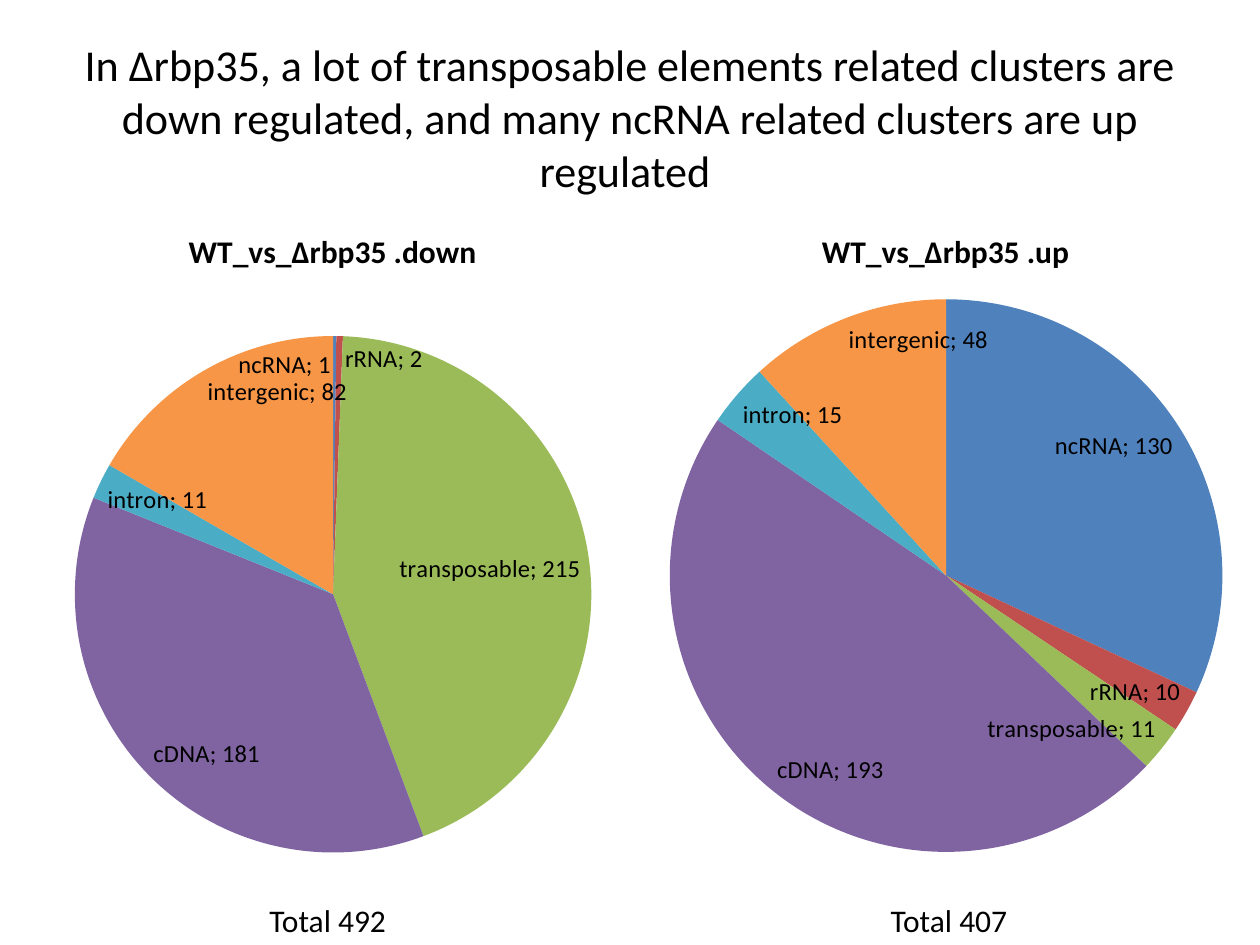
from pptx import Presentation, util as u
from pptx.chart.data import CategoryChartData
from pptx.dml.color import RGBColor
from pptx.enum import chart as ch, text
from pptx.oxml import parse_xml
from pptx.oxml.ns import nsdecls, qn

COLORS = {"ncRNA": "4F81BD", "rRNA": "C0504D", "transposable": "9BBB59",
          "cDNA": "8064A2", "intron": "4BACC6", "intergenic": "F79646"}
BLACK = RGBColor.from_string("000000")

# Frame, pie centre and diameter in inches; shifts are shares of the chart
PANELS = [
    dict(name="WT_vs_∆rbp35 .down", counts=(1, 2, 215, 181, 11, 82),
         frame=(-1.77, 1.62, 8.82, 5.29), pie=(2.64, 4.72, 4.1),
         shifts=[(-0.045, 0.01), (0.04, 0)], total_left=2.04),
    dict(name="WT_vs_∆rbp35 .up", counts=(130, 10, 11, 193, 15, 48),
         frame=(3.11, 1.62, 8.79, 5.28), pie=(7.51, 4.57, 4.39),
         shifts=[], total_left=6.97),
]


def style(font, size, bold=False):
    font.name, font.size, font.bold = "Calibri", u.Pt(size), bold
    font.color.rgb = BLACK


def layout(x, y, width=None, height=None):
    parts = {"x": x, "y": y}
    head = ""
    if width:
        head = ('<c:layoutTarget val="inner"/><c:xMode val="edge"/>'
                '<c:yMode val="edge"/>')
        parts.update(w=width, h=height)
    body = "".join(f'<c:{key} val="{value:.3f}"/>' for key, value in parts.items())
    return parse_xml(f'<c:layout {nsdecls("c")}><c:manualLayout>{head}{body}'
                     '</c:manualLayout></c:layout>')


deck = Presentation()
deck.slide_width, deck.slide_height = u.Inches(10), u.Inches(7.5)
slide = deck.slides.add_slide(deck.slide_layouts[5])

# Headline
headline = slide.shapes.title
headline.left, headline.top, headline.width, headline.height = map(
    u.Inches, (0.5, 0.3, 9, 1.25))
headline.text_frame.text = ("In ∆rbp35, a lot of transposable elements related clusters are "
                            "down regulated, and many ncRNA related clusters are up regulated ")
headline.text_frame.vertical_anchor = text.MSO_ANCHOR.MIDDLE
headline.text_frame.paragraphs[0].alignment = text.PP_ALIGN.CENTER
style(headline.text_frame.paragraphs[0].font, 25.2)

for panel in PANELS:
    # Pie of cluster counts
    data = CategoryChartData(number_format="0")
    data.categories = list(COLORS)
    data.add_series(panel["name"], panel["counts"])
    left, top, width, height = panel["frame"]
    pie = slide.shapes.add_chart(ch.XL_CHART_TYPE.PIE,
                                 *map(u.Inches, panel["frame"]), data).chart
    style(pie.font, 10)
    pie.has_legend = False
    pie.has_title = True
    pie.chart_title.text_frame.text = panel["name"]
    style(pie.chart_title.text_frame.paragraphs[0].font, 18, True)

    # Pie placement and clear background
    center_x, center_y, size = panel["pie"]
    plot_area = pie.element.chart.plotArea
    for old in plot_area.findall(qn("c:layout")):
        plot_area.remove(old)
    plot_area.insert(0, layout((center_x - size / 2 - left) / width,
                               (center_y - size / 2 - top) / height,
                               size / width, size / height))
    pie.element.chart.addnext(parse_xml(
        f'<c:spPr {nsdecls("c", "a")}><a:noFill/><a:ln><a:noFill/></a:ln></c:spPr>'))

    # Slices
    pie.plots[0].vary_by_categories = True
    series = pie.plots[0].series[0]
    for index, color in enumerate(COLORS.values()):
        fill = series.points[index].format.fill
        fill.solid()
        fill.fore_color.rgb = RGBColor.from_string(color)

    # Slice labels, with the crowded ones moved apart
    labels = series.data_labels
    labels.show_value = labels.show_category_name = True
    labels.number_format, labels.number_format_is_linked = "0", False
    labels.position = ch.XL_LABEL_POSITION.INSIDE_END
    style(labels.font, 14)
    for index, shift in enumerate(panel["shifts"]):
        label = series.points[index].data_label
        style(label.font, 14)
        label.position = ch.XL_LABEL_POSITION.INSIDE_END
    label_root = series.data_labels._element
    for moved, shift in zip(label_root.findall(qn("c:dLbl")), panel["shifts"]):
        moved.find(qn("c:idx")).addnext(layout(*shift))
        moved.find(qn("c:showCatName")).set("val", "1")
    for flag in list(label_root.iter(qn("c:showBubbleSize"))):
        flag.addnext(parse_xml(f'<c:separator {nsdecls("c")}>; </c:separator>'))

    # Total below the pie
    total = slide.shapes.add_textbox(*map(u.Inches, (panel["total_left"], 7.1, 1.14, 0.4)))
    total.text_frame.word_wrap = False
    total.text_frame.auto_size = text.MSO_AUTO_SIZE.SHAPE_TO_FIT_TEXT
    total.text_frame.text = f"Total {sum(panel['counts'])}"
    style(total.text_frame.paragraphs[0].font, 18)

deck.save("out.pptx")
